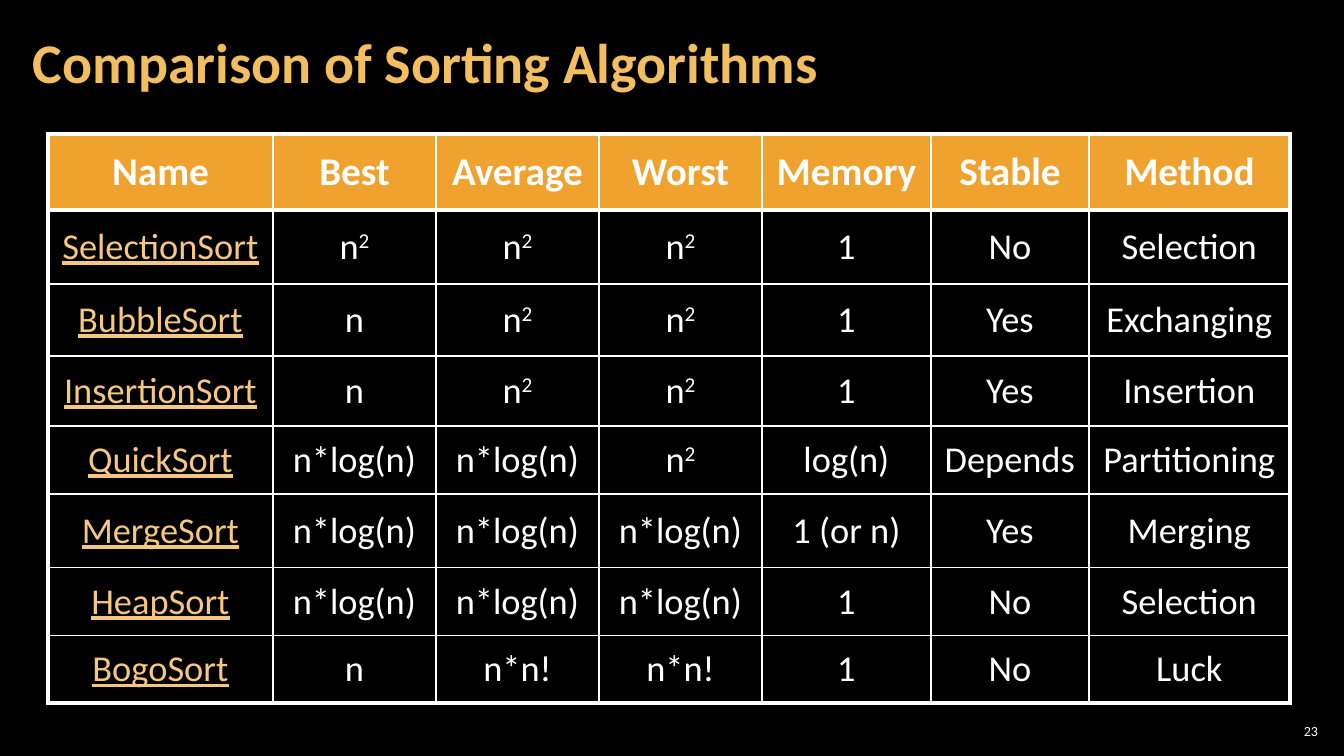
import dataclasses

import lxml.etree
import pptx
import pptx.dml.color
import pptx.enum.text
import pptx.oxml.ns
import pptx.util

ALIGN = pptx.enum.text.PP_ALIGN
MIDDLE = pptx.enum.text.MSO_ANCHOR.MIDDLE
PX_PER_INCH = 100.8


@dataclasses.dataclass(frozen=True)
class Theme:
    face: str = "Calibri"
    background: str = "000000"
    text: str = "FFFFFF"
    title: str = "F3BE60"
    header_fill: str = "F0A22E"
    name: str = "F6C781"
    body_alpha: int = 30000
    superscript: int = 30000
    title_size: int = 40
    header_size: int = 28
    body_size: int = 26
    number_size: int = 10
    thin: int = 1
    thick: int = 3


def px(length):
    return pptx.util.Inches(length / PX_PER_INCH)


def rgb(code):
    return pptx.dml.color.RGBColor.from_string(code)


def add_xml(parent, tag, **attributes):
    return lxml.etree.SubElement(parent, pptx.oxml.ns.qn(tag), attributes)


class SlideBuilder:
    def __init__(self, slide, theme):
        self.slide = slide
        self.theme = theme
        slide.background.fill.solid()
        slide.background.fill.fore_color.rgb = rgb(theme.background)

    def format(self, paragraph, size, color, align, bold=False, underline=False):
        paragraph.alignment = align
        font = paragraph.font
        font.name, font.size = self.theme.face, pptx.util.Pt(size)
        font.bold, font.underline = bold, underline
        font.color.rgb = rgb(color)

    def set_frame(self, frame, side, edge):
        frame.word_wrap = True
        frame.auto_size = pptx.enum.text.MSO_AUTO_SIZE.NONE
        frame.vertical_anchor = MIDDLE
        frame.margin_left = frame.margin_right = px(side)
        frame.margin_top = frame.margin_bottom = px(edge)

    def title(self, text, left, top, width, height):
        heading = self.slide.shapes.title
        heading.left, heading.top = px(left), px(top)
        heading.width, heading.height = px(width), px(height)
        heading.text_frame.text = text
        self.set_frame(heading.text_frame, 12, 4)
        paragraph = heading.text_frame.paragraphs[0]
        paragraph.line_spacing = 0.9
        self.format(paragraph, self.theme.title_size, self.theme.title, ALIGN.LEFT, bold=True)

    def page_number(self, text, left, top, width, height):
        box = self.slide.shapes.add_textbox(px(left), px(top), px(width), px(height))
        box.text_frame.text = text
        self.set_frame(box.text_frame, 4, 4)
        self.format(box.text_frame.paragraphs[0], self.theme.number_size,
                    self.theme.text, ALIGN.RIGHT)

    def border(self, cell, side, weight):
        line = add_xml(cell._tc.get_or_add_tcPr(), f"a:ln{side}",
                       w=str(pptx.util.Pt(weight)))
        add_xml(add_xml(line, "a:solidFill"), "a:srgbClr", val=self.theme.text)

    def cell_text(self, cell, text):
        # A caret separates a base from its superscript
        paragraph = cell.text_frame.paragraphs[0]
        base, _, power = text.partition("^")
        paragraph.add_run().text = base
        if power:
            exponent = paragraph.add_run()
            exponent.text = power
            exponent._r.get_or_add_rPr().set("baseline", str(self.theme.superscript))
        return paragraph

    def table(self, rows, left, top, widths, heights):
        theme = self.theme
        last_row, last_column = len(heights) - 1, len(widths) - 1
        grid = self.slide.shapes.add_table(
            len(heights), len(widths), px(left), px(top),
            px(sum(widths)), px(sum(heights))).table
        grid.horz_banding = False
        for column, width in zip(grid.columns, widths):
            column.width = px(width)
        for r, (row, height) in enumerate(zip(rows, heights)):
            grid.rows[r].height = px(height)
            for c, text in enumerate(row):
                cell = grid.cell(r, c)
                header, name = r == 0, r > 0 and c == 0
                cell.vertical_anchor = MIDDLE

                # Thick frame and header rule, thin lines elsewhere
                thick_sides = {"L": c == 0, "R": c == last_column,
                               "T": r <= 1, "B": r in (0, last_row)}
                for side, thick in thick_sides.items():
                    self.border(cell, side, theme.thick if thick else theme.thin)

                cell.fill.solid()
                cell.fill.fore_color.rgb = rgb(theme.header_fill if header else theme.background)
                if not header:
                    shade = cell._tc.tcPr.find(".//" + pptx.oxml.ns.qn("a:solidFill") +
                                               f"/*[@val='{theme.background}']")
                    add_xml(shade, "a:alpha", val=str(theme.body_alpha))

                self.format(self.cell_text(cell, text),
                            theme.header_size if header else theme.body_size,
                            theme.name if name else theme.text,
                            ALIGN.CENTER, bold=header, underline=name)


COMPARISON = [
    ("Name", "Best", "Average", "Worst", "Memory", "Stable", "Method"),
    ("SelectionSort", "n^2", "n^2", "n^2", "1", "No", "Selection"),
    ("BubbleSort", "n", "n^2", "n^2", "1", "Yes", "Exchanging"),
    ("InsertionSort", "n", "n^2", "n^2", "1", "Yes", "Insertion"),
    ("QuickSort", "n*log(n)", "n*log(n)", "n^2", "log(n)", "Depends", "Partitioning"),
    ("MergeSort", "n*log(n)", "n*log(n)", "n*log(n)", "1 (or n)", "Yes", "Merging"),
    ("HeapSort", "n*log(n)", "n*log(n)", "n*log(n)", "1", "No", "Selection"),
    ("BogoSort", "n", "n*n!", "n*n!", "1", "No", "Luck"),
]


def main():
    deck = pptx.Presentation()
    deck.slide_width, deck.slide_height = px(1344), px(756)
    title_only = deck.slide_layouts[5]
    builder = SlideBuilder(deck.slides.add_slide(title_only), Theme())

    builder.page_number("23", 1275, 720, 47, 22)
    builder.title("Comparison of Sorting Algorithms", 21, 4, 1055, 122)
    builder.table(COMPARISON, 48, 134,
                  widths=[225, 163, 163, 163, 169, 158, 201],
                  heights=[76, 74, 72, 70, 68, 74, 68, 67])
    deck.save("out.pptx")


if __name__ == "__main__":
    main()
